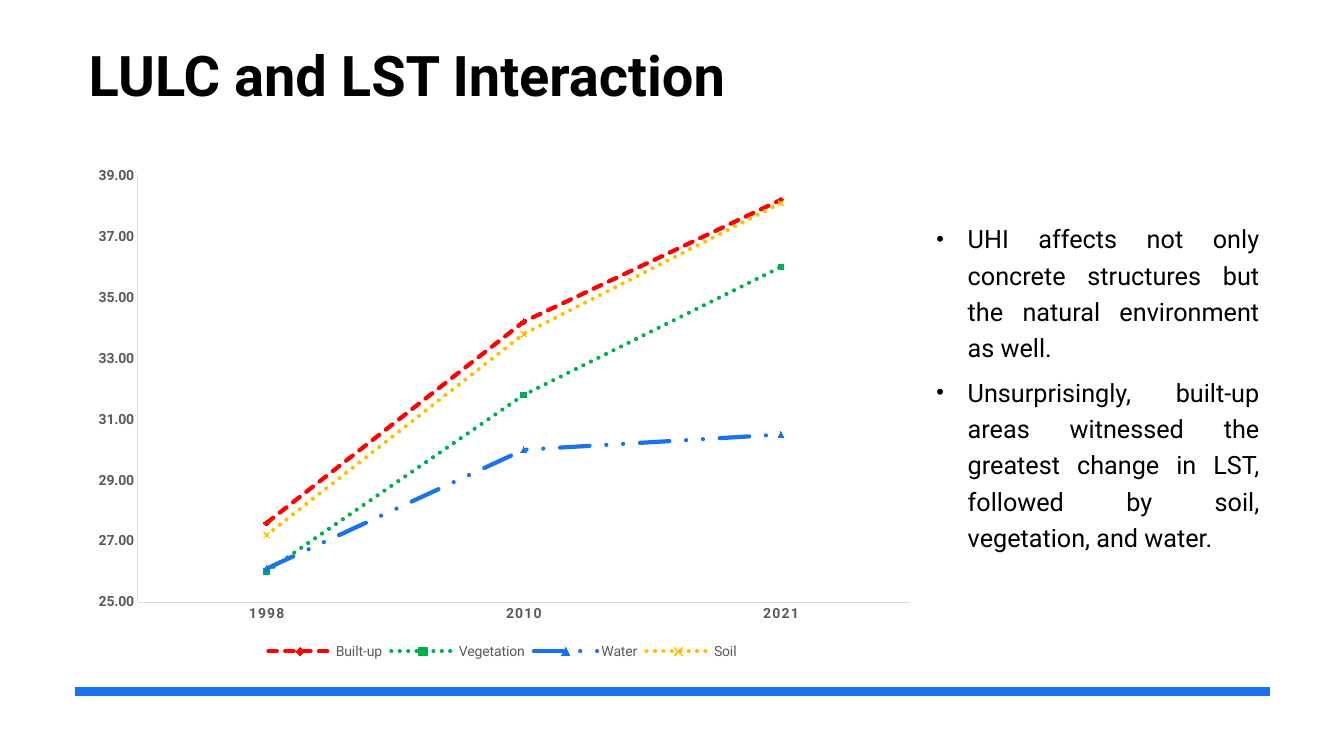
import pptx
import pptx.chart.data
import pptx.dml.color
import pptx.enum.chart
import pptx.enum.dml
import pptx.enum.shapes
import pptx.enum.text
import pptx.oxml
import pptx.oxml.ns
import pptx.util
from pptx.util import Inches

FONT = "Roboto"
BLACK, WHITE, BLUE = "000000", "FFFFFF", "1973EB"
LABEL_GRAY, AXIS_GRAY = "595959", "D9D9D9"
DASH = pptx.enum.dml.MSO_LINE
MARKER = pptx.enum.chart.XL_MARKER_STYLE

YEARS = ["1998", "2010", "2021"]
LAND_COVERS = [
    ("Built-up", [27.6, 34.2, 38.2], "FF0000", DASH.SQUARE_DOT, MARKER.DIAMOND),
    ("Vegetation", [26, 31.8, 36], "00B050", DASH.ROUND_DOT, MARKER.SQUARE),
    ("Water", [26.1, 30, 30.5], BLUE, DASH.DASH_DOT_DOT, MARKER.TRIANGLE),
    ("Soil", [27.2, 33.8, 38.1], "FFC000", DASH.ROUND_DOT, MARKER.X),
]
FINDINGS = [
    "UHI affects not only concrete structures but the natural environment as well.",
    "Unsurprisingly, built-up areas witnessed the greatest change in LST, "
    "followed by soil, vegetation, and water.",
]


def color(hex_string):
    return pptx.dml.color.RGBColor.from_string(hex_string)


def set_font(font, size, hex_string, bold=False):
    font.name = FONT
    font.size = pptx.util.Pt(size)
    font.bold = bold
    font.color.rgb = color(hex_string)


def set_line(line, hex_string, width):
    line.color.rgb = color(hex_string)
    line.width = pptx.util.Pt(width)


def add_element(parent, tag, **attributes):
    element = pptx.oxml.parse_xml(f"<{tag} {pptx.oxml.ns.nsdecls('a', 'c')}/>")
    for name, value in attributes.items():
        element.set(name, str(value))
    parent.append(element)
    return element


def add_background(slide, width, height):
    shape = slide.shapes.add_shape(
        pptx.enum.shapes.MSO_SHAPE.RECTANGLE, 0, 0, width, height)
    shape.shadow.inherit = False
    shape.fill.solid()
    shape.fill.fore_color.rgb = color(WHITE)
    shape.line.fill.background()


def add_text_frame(slide, left, top, width, height):
    box = slide.shapes.add_textbox(
        Inches(left), Inches(top), Inches(width), Inches(height))
    box.text_frame.word_wrap = True
    return box.text_frame


def add_title(slide, text):
    paragraph = add_text_frame(slide, 0.78, 0.35, 6.76, 1.28).paragraphs[0]
    paragraph.text = text
    paragraph.space_after = pptx.util.Pt(6)
    set_font(paragraph.font, 40, BLACK, bold=True)


def add_bullets(slide, texts):
    frame = add_text_frame(slide, 9.19, 2.11, 3.4, 4.11)
    for index, text in enumerate(texts):
        paragraph = frame.add_paragraph() if index else frame.paragraphs[0]
        paragraph.text = text
        paragraph.alignment = pptx.enum.text.PP_ALIGN.JUSTIFY
        paragraph.line_spacing = 1.2
        paragraph.space_after = pptx.util.Pt(6)
        properties = paragraph._p.get_or_add_pPr()
        properties.set("marL", str(Inches(0.31)))
        properties.set("indent", str(-Inches(0.31)))
        add_element(properties, "a:buSzPct", val=87000)
        add_element(properties, "a:buFont", typeface="Arial")
        add_element(properties, "a:buChar", char="•")
        set_font(paragraph.font, 18, BLACK)


def add_rule(slide):
    rule = slide.shapes.add_connector(
        pptx.enum.shapes.MSO_CONNECTOR.STRAIGHT,
        Inches(0.74), Inches(6.86), Inches(12.6), Inches(6.86))
    set_line(rule.line, BLUE, 6)
    add_element(rule._element.spPr, "a:effectLst")


def format_axis(axis):
    axis.has_major_gridlines = False
    axis.major_tick_mark = pptx.enum.chart.XL_TICK_MARK.NONE
    axis.minor_tick_mark = pptx.enum.chart.XL_TICK_MARK.NONE
    set_line(axis.format.line, AXIS_GRAY, 0.75)
    set_font(axis.tick_labels.font, 10, LABEL_GRAY, bold=True)


def place_plot(chart, **fractions):
    """Fix the inner plot area at x, y, w and h, as fractions of the chart."""
    plot_area = chart._chartSpace.chart.plotArea
    for layout in plot_area.findall(pptx.oxml.ns.qn("c:layout")):
        plot_area.remove(layout)
    layout = add_element(plot_area, "c:layout")
    plot_area.insert(0, layout)
    manual = add_element(layout, "c:manualLayout")
    add_element(manual, "c:layoutTarget", val="inner")
    for side in ("x", "y"):
        add_element(manual, f"c:{side}Mode", val="edge")
    for side, fraction in fractions.items():
        add_element(manual, f"c:{side}", val=fraction)


def format_series(series, hex_string, dash, marker):
    series.smooth = False
    set_line(series.format.line, hex_string, 3)
    series.format.line.dash_style = dash
    series.format.line._ln.set("cap", "rnd")
    series.marker.style = marker
    series.marker.size = 4
    if marker == MARKER.X:
        series.marker.format.fill.background()
    else:
        series.marker.format.fill.solid()
        series.marker.format.fill.fore_color.rgb = color(hex_string)
    set_line(series.marker.format.line, hex_string, 0.75)


def add_temperature_chart(slide):
    data = pptx.chart.data.CategoryChartData(number_format="0.00")
    data.categories = YEARS
    for name, values, *_ in LAND_COVERS:
        data.add_series(name, values)
    chart = slide.shapes.add_chart(
        pptx.enum.chart.XL_CHART_TYPE.LINE_MARKERS,
        Inches(0.78), Inches(1.54), Inches(8.41), Inches(5.04), data).chart
    set_font(chart.font, 10, BLACK)
    chart.has_title = False
    chart.plots[0].vary_by_categories = False
    for series, (_, _, *style) in zip(chart.plots[0].series, LAND_COVERS):
        format_series(series, *style)

    format_axis(chart.category_axis)
    chart.category_axis.tick_labels.font._element.set("spc", "100")
    values_axis = chart.value_axis
    format_axis(values_axis)
    values_axis.minimum_scale = 25
    values_axis.maximum_scale = 39
    values_axis.major_unit = 2
    values_axis.tick_labels.number_format = "0.00"
    values_axis.tick_labels.number_format_is_linked = False

    chart.has_legend = True
    chart.legend.position = pptx.enum.chart.XL_LEGEND_POSITION.BOTTOM
    chart.legend.include_in_layout = False
    set_font(chart.legend.font, 10, LABEL_GRAY)
    place_plot(chart, x=0.07, y=0.04, w=0.91, h=0.84)


def main():
    presentation = pptx.Presentation()
    presentation.slide_width = Inches(13.33)
    presentation.slide_height = Inches(7.5)
    slide = presentation.slides.add_slide(presentation.slide_layouts[6])
    add_background(slide, presentation.slide_width, presentation.slide_height)
    add_title(slide, "LULC and LST Interaction")
    add_bullets(slide, FINDINGS)
    add_rule(slide)
    add_temperature_chart(slide)
    presentation.save("out.pptx")


if __name__ == "__main__":
    main()
